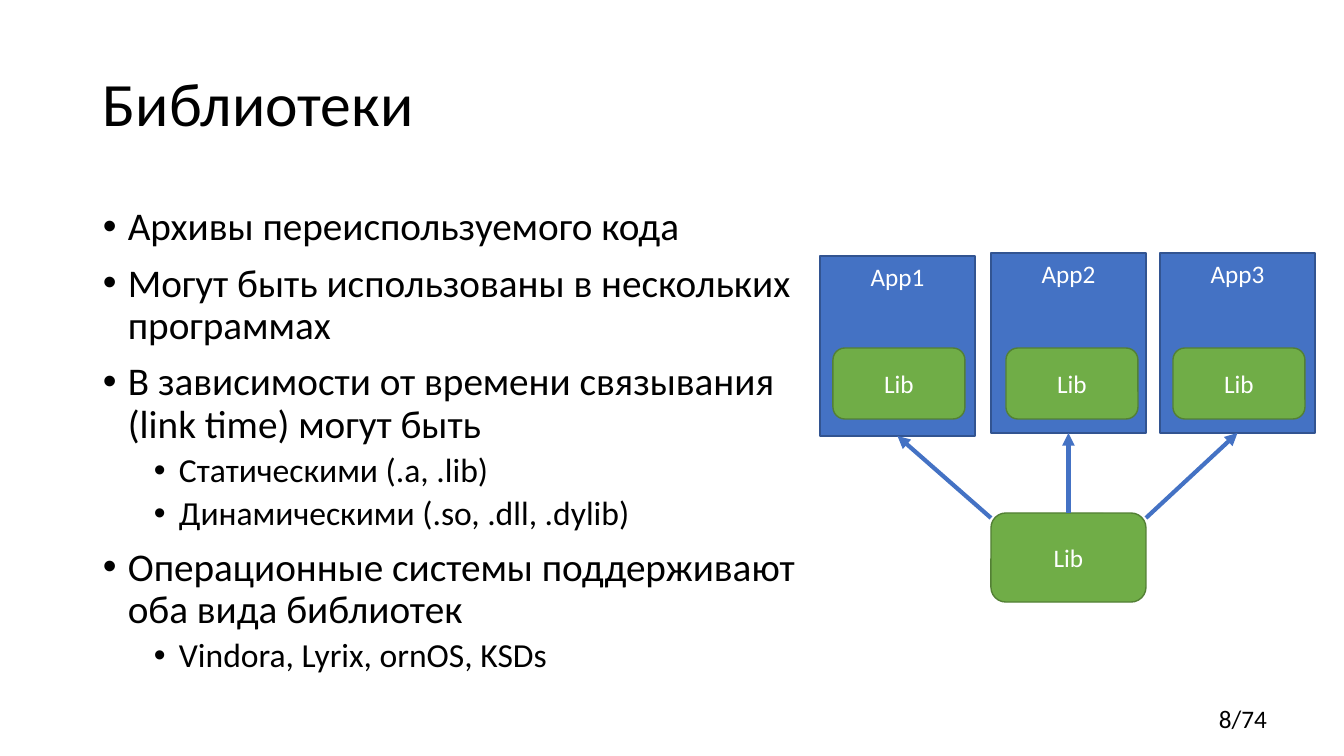
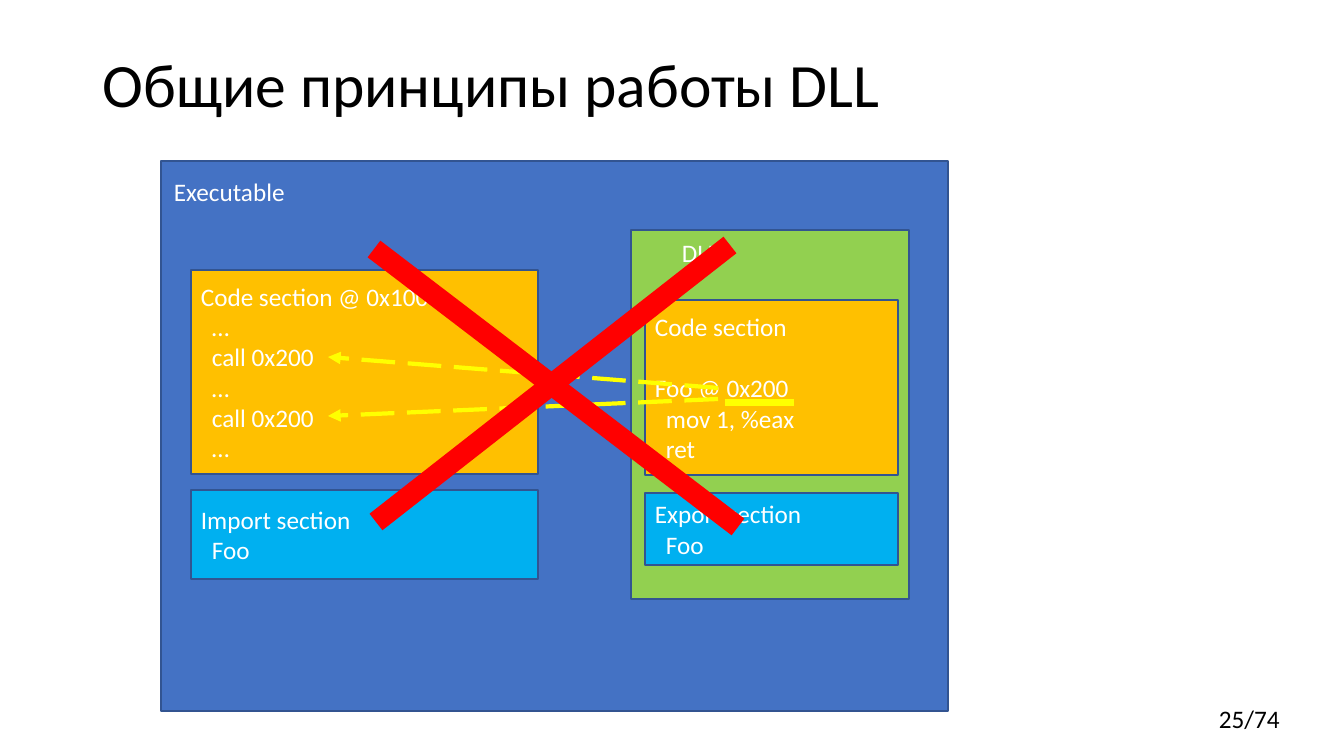
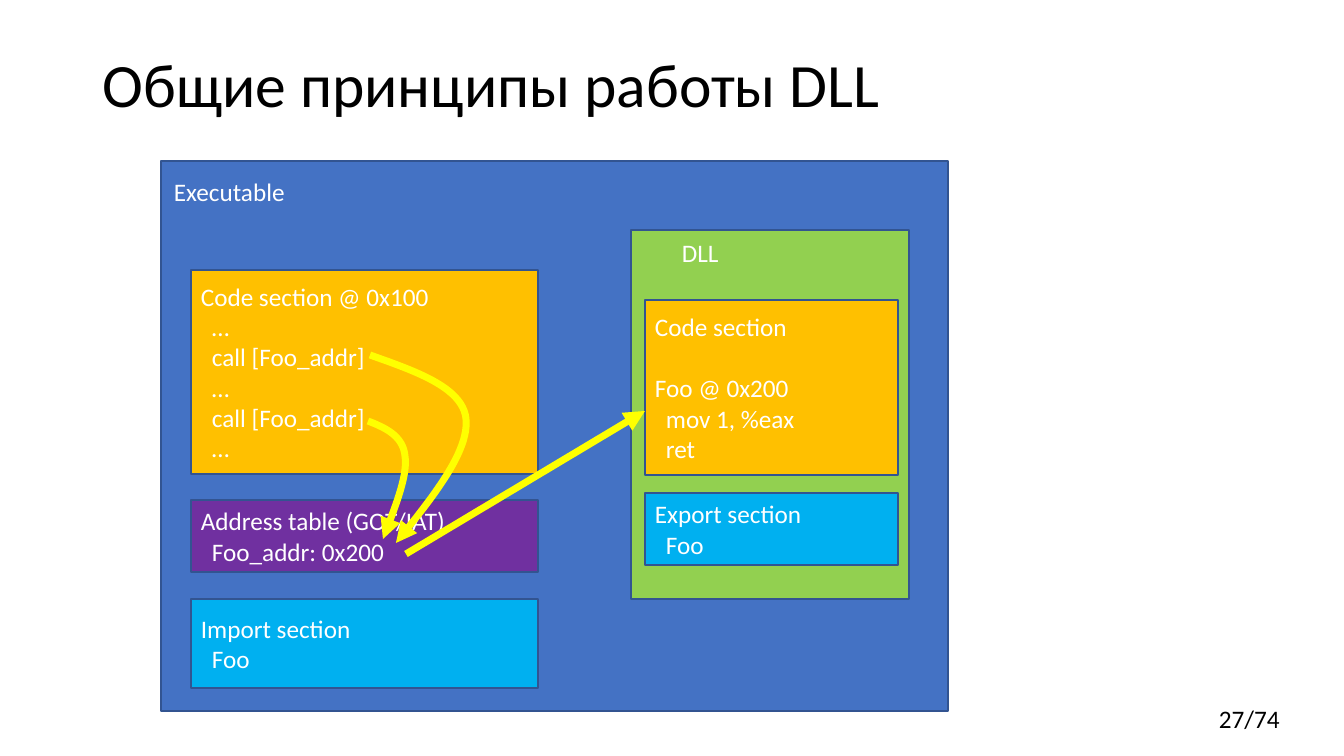
from dataclasses import dataclass

from pptx import Presentation
from pptx.dml.color import RGBColor
from pptx.enum.dml import MSO_LINE
from pptx.enum.shapes import MSO_CONNECTOR, MSO_SHAPE
from pptx.enum.text import MSO_ANCHOR, PP_ALIGN
from pptx.oxml.ns import qn
from pptx.util import Emu, Pt
from lxml.etree import SubElement

FONT = "Calibri"
BLACK = RGBColor(0x00, 0x00, 0x00)
WHITE = RGBColor(0xFF, 0xFF, 0xFF)
BLUE = RGBColor(0x44, 0x72, 0xC4)
BLUE_EDGE = RGBColor(0x32, 0x54, 0x91)
GREEN = RGBColor(0x70, 0xAD, 0x47)
GREEN_EDGE = RGBColor(0x53, 0x80, 0x35)
LIME = RGBColor(0x92, 0xD0, 0x50)
AMBER = RGBColor(0xFF, 0xC0, 0x00)
SKY = RGBColor(0x00, 0xB0, 0xF0)
PURPLE = RGBColor(0x70, 0x30, 0xA0)
YELLOW = RGBColor(0xFF, 0xFF, 0x00)
RED = RGBColor(0xFF, 0x00, 0x00)

TOP, BOTTOM = 0, 2
PAGE_COUNT = 74
CODE_INDENT = 11
LEFT_X, LEFT_W = 191, 347
DLL_X, DLL_W = 645, 253


@dataclass
class Line:
    """A paragraph: indent in px, gap (space before) in points."""
    text: str
    indent: int = 0
    gap: int = 0


def px(n):
    return Emu(round(n * 914400 / 100.8))


def indented(*texts):
    return [Line(text, CODE_INDENT) for text in texts]


def write(tf, lines, size, color, align=PP_ALIGN.LEFT):
    tf.word_wrap = True
    for i, line in enumerate(lines):
        p = tf.paragraphs[0] if i == 0 else tf.add_paragraph()
        p.text = line.text
        p.alignment = align
        if line.gap:
            p.space_before = Pt(line.gap)
        if line.indent:
            p._p.get_or_add_pPr().set("marL", str(px(line.indent)))
        for r in p.runs:
            r.font.name = FONT
            r.font.size = Pt(size)
            r.font.color.rgb = color


def add_text(slide, x, y, w, h, lines, size=18, color=BLACK):
    sp = slide.shapes.add_textbox(px(x), px(y), px(w), px(h))
    write(sp.text_frame, lines, size, color)
    return sp.text_frame


def add_box(slide, x, y, w, h, fill, lines=(), align=PP_ALIGN.LEFT,
            anchor=MSO_ANCHOR.MIDDLE, kind=MSO_SHAPE.RECTANGLE, edge=BLUE_EDGE):
    sp = slide.shapes.add_shape(kind, px(x), px(y), px(w), px(h))
    sp.shadow.inherit = False
    sp.fill.solid()
    sp.fill.fore_color.rgb = fill
    sp.line.color.rgb = edge
    sp.line.width = Pt(1)
    sp.text_frame.vertical_anchor = anchor
    write(sp.text_frame, lines, 18, WHITE, align)
    return sp


def style_line(sp, color, width, arrow, dash=None):
    sp.line.color.rgb = color
    sp.line.width = Pt(width)
    if dash:
        sp.line.dash_style = dash
    if arrow:
        ln = sp.line._get_or_add_ln()
        SubElement(ln, qn("a:tailEnd")).set("type", "triangle")


def add_line(slide, start, end, color, width, arrow=False, dash=None):
    line = slide.shapes.add_connector(
        MSO_CONNECTOR.STRAIGHT, *map(px, start), *map(px, end))
    style_line(line, color, width, arrow, dash)
    SubElement(line._element.spPr, qn("a:effectLst"))
    return line


def bezier(a, b, c, d, steps=24):
    """Points of a cubic curve, without its first point."""
    for i in range(1, steps + 1):
        t = i / steps
        u = 1 - t
        yield tuple(u**3 * e + 3 * u * u * t * f + 3 * u * t * t * g + t**3 * h
                    for e, f, g, h in zip(a, b, c, d))


def add_curved_arrow(slide, start, *segments):
    """Each segment holds two control points and an end point."""
    points, at = [], start
    for segment in segments:
        points += bezier(at, *segment)
        at = segment[-1]
    builder = slide.shapes.build_freeform(px(start[0]), px(start[1]))
    builder.add_line_segments([(px(x), px(y)) for x, y in points], close=False)
    sp = builder.convert_to_shape()
    sp.shadow.inherit = False
    sp.fill.background()
    style_line(sp, YELLOW, 5, arrow=True)


def new_slide(prs, title, page, title_y):
    slide = prs.slides.add_slide(prs.slide_layouts[6])
    add_text(slide, 1209, 698, 125, 40, [Line(f"{page}/{PAGE_COUNT}")])
    tf = add_text(slide, 93, title_y, 1159, 146, [Line(title)], 44)
    tf.vertical_anchor = MSO_ANCHOR.MIDDLE
    tf.paragraphs[0].line_spacing = 0.9
    return slide


def add_bullets(slide, x, y, w, h, items):
    """Items are (level, text) pairs."""
    lines = [Line(text, 76 if level else 25, 5 if level else 10)
             for level, text in items]
    tf = add_text(slide, x, y, w, h, lines, 28)
    for (level, _), p in zip(items, tf.paragraphs):
        p.line_spacing = 0.9
        p.level = level
        if level:
            p.runs[0].font.size = Pt(24)
        pPr = p._p.get_or_add_pPr()
        pPr.set("indent", str(-px(25)))
        SubElement(pPr, qn("a:buFont")).set("typeface", "Arial")
        SubElement(pPr, qn("a:buChar")).set("char", "•")


def add_lib(slide, x, y, w, h):
    return add_box(slide, x, y, w, h, GREEN, [Line("Lib")], PP_ALIGN.CENTER,
                   kind=MSO_SHAPE.ROUNDED_RECTANGLE, edge=GREEN_EDGE)


def libraries_slide(prs):
    slide = new_slide(prs, "Библиотеки", 8, 33)
    add_bullets(slide, 93, 202, 766, 480, [
        (0, "Архивы переиспользуемого кода"),
        (0, "Могут быть использованы в нескольких программах"),
        (0, "В зависимости от времени связывания (link time) могут быть"),
        (1, "Статическими (.a, .lib)"),
        (1, "Динамическими (.so, .dll, .dylib)"),
        (0, "Операционные системы поддерживают оба вида библиотек"),
        (1, "Vindora, Lyrix, ornOS, KSDs"),
    ])
    shared = add_lib(slide, 991, 513, 155, 89)
    places = [(820, 256, 833, (991, 518)),
              (991, 253, 1006, (1068, 513)),
              (1160, 253, 1173, (1146, 518))]
    for number, (x, y, lib_x, start) in enumerate(places, 1):
        app = add_box(slide, x, y, 155, 180, BLUE, [Line(f"App{number}")],
                      PP_ALIGN.CENTER, MSO_ANCHOR.TOP)
        add_lib(slide, lib_x, 348, 132, 71)
        arrow = add_line(slide, start, (x + 77, y + 180), BLUE, 3, arrow=True)
        arrow.end_connect(app, BOTTOM)
        if number == 2:
            arrow.begin_connect(shared, TOP)


def dll_slide(prs, page, call, import_y):
    slide = new_slide(prs, "Общие принципы работы DLL", page, 15)
    add_box(slide, 161, 161, 787, 550, BLUE)
    add_box(slide, 631, 230, 278, 369, LIME)
    add_text(slide, 164, 171, 213, 40, [Line("Executable")], color=WHITE)
    add_text(slide, 672, 232, 213, 40, [Line("DLL")], color=WHITE)
    add_box(slide, LEFT_X, 270, LEFT_W, 204, AMBER,
            [Line("Code section @ 0x100"), *indented("…", call, "…", call, "…")])
    add_box(slide, DLL_X, 300, DLL_W, 175, AMBER,
            [Line("Code section"), Line("Foo @ 0x200", gap=22),
             *indented("mov 1, %eax", "ret")])
    add_box(slide, LEFT_X, import_y, LEFT_W, 89, SKY,
            [Line("Import section"), *indented("Foo")])
    add_box(slide, DLL_X, 493, DLL_W, 72, SKY,
            [Line("Export section"), *indented("Foo")])
    return slide


def direct_call_slide(prs):
    slide = dll_slide(prs, 25, "call 0x200", 490)
    add_line(slide, (725, 403), (794, 403), YELLOW, 5)
    for start_y, call_y in ((388, 357), (399, 416)):
        add_line(slide, (718, start_y), (328, call_y), YELLOW, 3,
                 arrow=True, dash=MSO_LINE.LONG_DASH)
    add_line(slide, (374, 249), (738, 527), RED, 15)
    add_line(slide, (376, 522), (730, 245), RED, 15)


def address_table_slide(prs):
    slide = dll_slide(prs, 27, "call [Foo_addr]", 599)
    add_box(slide, LEFT_X, 500, LEFT_W, 72, PURPLE,
            [Line("Address table (GOT/IAT)"), *indented("Foo_addr: 0x200")])
    add_curved_arrow(slide, (368, 421),
                     ((386, 428), (403, 436), (405, 456)),
                     ((408, 476), (395, 507), (383, 539)))
    add_line(slide, (406, 554), (645, 411), YELLOW, 5, arrow=True)
    add_curved_arrow(slide, (370, 355),
                     ((415, 371), (462, 387), (466, 418)),
                     ((470, 451), (433, 497), (396, 543)))


def main():
    prs = Presentation()
    prs.slide_width, prs.slide_height = px(1344), px(756)
    libraries_slide(prs)
    direct_call_slide(prs)
    address_table_slide(prs)
    prs.save("out.pptx")


if __name__ == "__main__":
    main()
